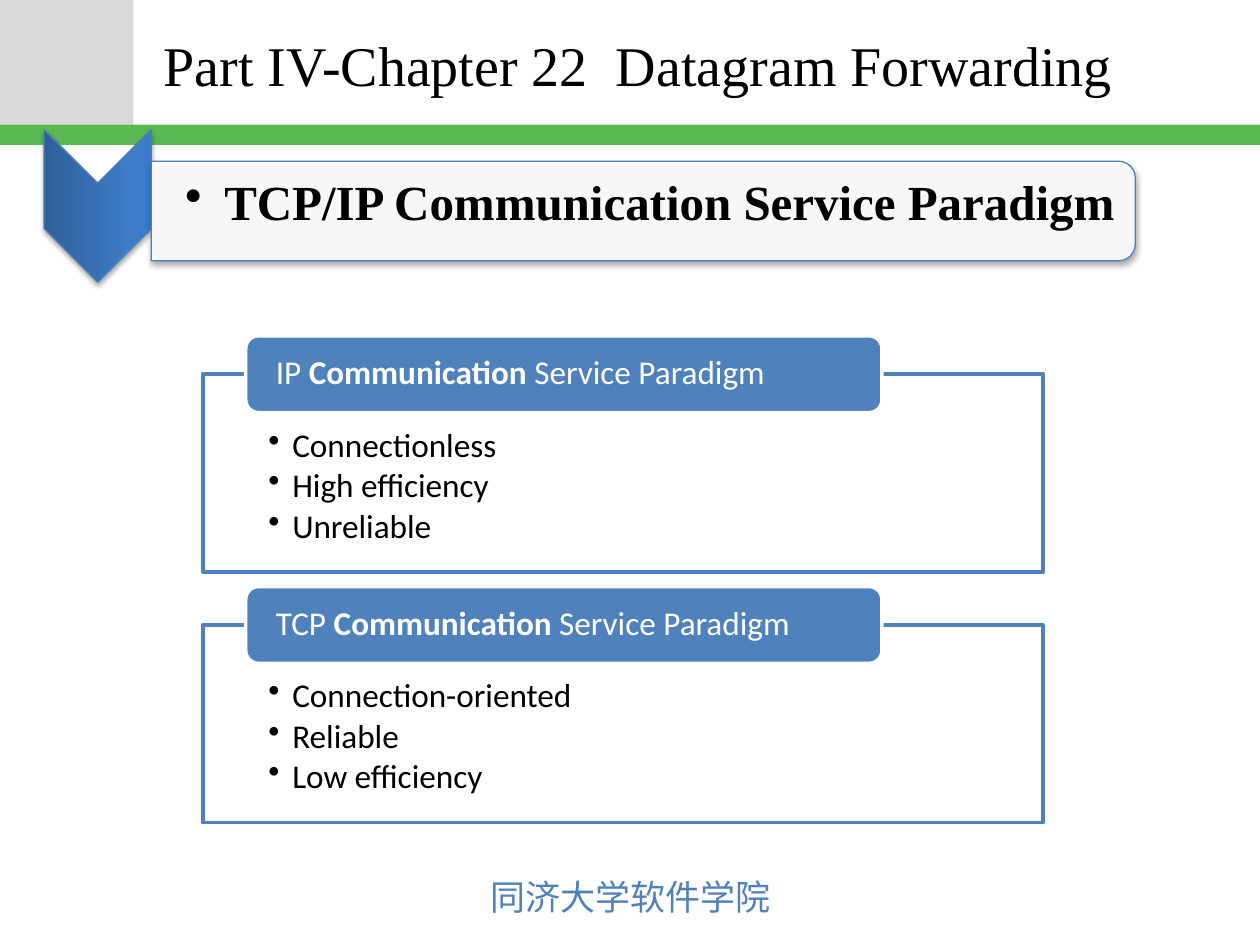
"""Build the slide comparing the IP and TCP communication service paradigms."""
import lxml.etree
import pptx
import pptx.dml.color
import pptx.enum.shapes
import pptx.enum.text
import pptx.oxml
import pptx.oxml.ns
import pptx.util

Inches, Pt = pptx.util.Inches, pptx.util.Pt
SHAPE = pptx.enum.shapes.MSO_SHAPE
ALIGN = pptx.enum.text.PP_ALIGN
ANCHOR = pptx.enum.text.MSO_ANCHOR
NAMESPACE = pptx.oxml.ns.nsdecls("a")

TITLE = "Part IV-Chapter 22  Datagram Forwarding"
HEADING = "TCP/IP Communication Service Paradigm"
FOOTER = "同济大学软件学院"
PARADIGMS = [
    ("IP ", ["Connectionless", "High efficiency", "Unreliable"]),
    ("TCP ", ["Connection-oriented", "Reliable", "Low efficiency"]),
]
COLORS = {
    "white": "FFFFFF", "black": "000000", "gray": "D9D9D9", "green": "5AB953",
    "blue": "4F81BD", "outline": "4B7EBC",
}
CHEVRON_STOPS = [(0, "2F5F99"), (80, "3D7CC7"), (100, "3A7CCB")]
SERIF, SANS, CHINESE = "Times New Roman", "Calibri", "Noto Sans CJK JP"
PANEL_LEFT, PANEL_TOP, PANEL_WIDTH, PANEL_HEIGHT = 1.61, 2.97, 6.67, 1.57
PANEL_PITCH = 1.99
TAB_LEFT, TAB_WIDTH, TAB_HEIGHT = 1.95, 5.05, 0.61


def color(name):
    return pptx.dml.color.RGBColor.from_string(COLORS[name])


def add_box(page, kind, frame, fill=None, line=None, width=0.75, alpha=None):
    box = page.shapes.add_shape(kind, *map(Inches, frame))
    box.shadow.inherit = False
    if fill:
        box.fill.solid()
        box.fill.fore_color.rgb = color(fill)
    if alpha:
        tint = box.fill._xPr.find(".//" + pptx.oxml.ns.qn("a:srgbClr"))
        lxml.etree.SubElement(tint, pptx.oxml.ns.qn("a:alpha"), val=str(alpha * 1000))
    if line:
        box.line.color.rgb = color(line)
        box.line.width = Pt(width)
    else:
        box.line.fill.background()
    return box


def add_shadow(box):
    effects = box._element.spPr.find(pptx.oxml.ns.qn("a:effectLst"))
    effects.append(pptx.oxml.parse_xml(
        f'<a:outerShdw {NAMESPACE} blurRad="{Pt(3.1)}" dist="{Pt(1.8)}" dir="5400000" '
        f'rotWithShape="0"><a:srgbClr val="{COLORS["black"]}"><a:alpha val="35000"/>'
        '</a:srgbClr></a:outerShdw>'))


def fill_gradient(box, stops):
    marks = "".join(f'<a:gs pos="{share * 1000}"><a:srgbClr val="{tone}"/></a:gs>'
                    for share, tone in stops)
    gradient = pptx.oxml.parse_xml(
        f'<a:gradFill {NAMESPACE} rotWithShape="1"><a:gsLst>{marks}</a:gsLst>'
        '<a:lin ang="16200000" scaled="0"/></a:gradFill>')
    box._element.spPr.find(pptx.oxml.ns.qn("a:prstGeom")).addnext(gradient)


def set_frame(box, insets, anchor, wrap=True):
    frame = box.text_frame
    frame.word_wrap = wrap
    frame.vertical_anchor = anchor
    (frame.margin_left, frame.margin_top,
     frame.margin_right, frame.margin_bottom) = map(Inches, insets)
    return frame


def write(frame, lines, font, size, tone, indent=0, spacing=1.0, after=0, align=ALIGN.LEFT):
    for index, spans in enumerate(lines):
        para = frame.add_paragraph() if index else frame.paragraphs[0]
        para.alignment = align
        para.line_spacing = spacing
        para.space_after = Pt(after)
        if indent:
            properties = para._p.get_or_add_pPr()
            properties.set("marL", str(Inches(indent)))
            properties.set("indent", str(-Inches(indent)))
            lxml.etree.SubElement(properties, pptx.oxml.ns.qn("a:buChar"), char="•")
        for text, bold in spans:
            span = para.add_run()
            span.text = text
            span.font.name, span.font.size, span.font.bold = font, Pt(size), bold
            span.font.color.rgb = color(tone)
            if font == CHINESE:
                lxml.etree.SubElement(span._r.get_or_add_rPr(),
                                      pptx.oxml.ns.qn("a:ea"), typeface=font)


def add_header(page):
    add_box(page, SHAPE.RECTANGLE, (0, 0, 1.06, 0.99), "gray")
    add_box(page, SHAPE.RECTANGLE, (0, 0.99, 10, 0.16), "green")
    title = page.shapes.title
    title.left, title.top, title.width, title.height = map(Inches, (1.2, 0.02, 8.6, 0.98))
    frame = set_frame(title, (0.1, 0.05, 0.1, 0.05), ANCHOR.MIDDLE)
    write(frame, [[(TITLE, False)]], SERIF, 32, "black")


def add_heading(page):
    chevron = add_box(page, SHAPE.CHEVRON, (0.17, 1.21, 1.21, 0.85), line="outline")
    fill_gradient(chevron, CHEVRON_STOPS)
    banner = add_box(page, SHAPE.ROUND_2_SAME_RECTANGLE, (4.71, -2.23, 0.79, 7.81),
                     "white", "outline", alpha=90)
    for box in (chevron, banner):
        box.rotation = 90
        add_shadow(box)
    label = page.shapes.add_textbox(*map(Inches, (1.22, 1.27, 7.78, 0.71)))
    frame = set_frame(label, (0.25, 0.02, 0.02, 0.02), ANCHOR.MIDDLE)
    write(frame, [[(HEADING, True)]], SERIF, 28, "black", 0.31, 0.9)


def add_paradigm(page, row, protocol, traits):
    top = PANEL_TOP + row * PANEL_PITCH
    panel = add_box(page, SHAPE.RECTANGLE, (PANEL_LEFT, top, PANEL_WIDTH, PANEL_HEIGHT),
                    "white", "blue", 2, 90)
    frame = set_frame(panel, (0.52, 0.43, 0.52, 0.15), ANCHOR.TOP)
    write(frame, [[(trait, False)] for trait in traits], SANS, 19, "black", 0.19, 0.9, 2.6)
    tab = add_box(page, SHAPE.ROUNDED_RECTANGLE,
                  (TAB_LEFT, top - TAB_HEIGHT / 2, TAB_WIDTH, TAB_HEIGHT),
                  "blue", "white", 2)
    frame = set_frame(tab, (0.21, 0, 0.21, 0), ANCHOR.MIDDLE)
    spans = [(protocol, False), ("Communication ", True), ("Service Paradigm", False)]
    write(frame, [spans], SANS, 19, "white", spacing=0.9)


def add_footer(page):
    footer = page.shapes.add_textbox(*map(Inches, (3.78, 6.9, 2.45, 0.44)))
    frame = set_frame(footer, (0.1, 0.05, 0.1, 0.05), ANCHOR.TOP, False)
    write(frame, [[(FOOTER, False)]], CHINESE, 20, "blue", align=ALIGN.CENTER)


def main():
    deck = pptx.Presentation()
    deck.slide_width, deck.slide_height = Inches(10), Inches(7.5)
    page = deck.slides.add_slide(deck.slide_layouts[5])
    add_header(page)
    add_heading(page)
    for row, (protocol, traits) in enumerate(PARADIGMS):
        add_paradigm(page, row, protocol, traits)
    add_footer(page)
    deck.save("out.pptx")


if __name__ == "__main__":
    main()
